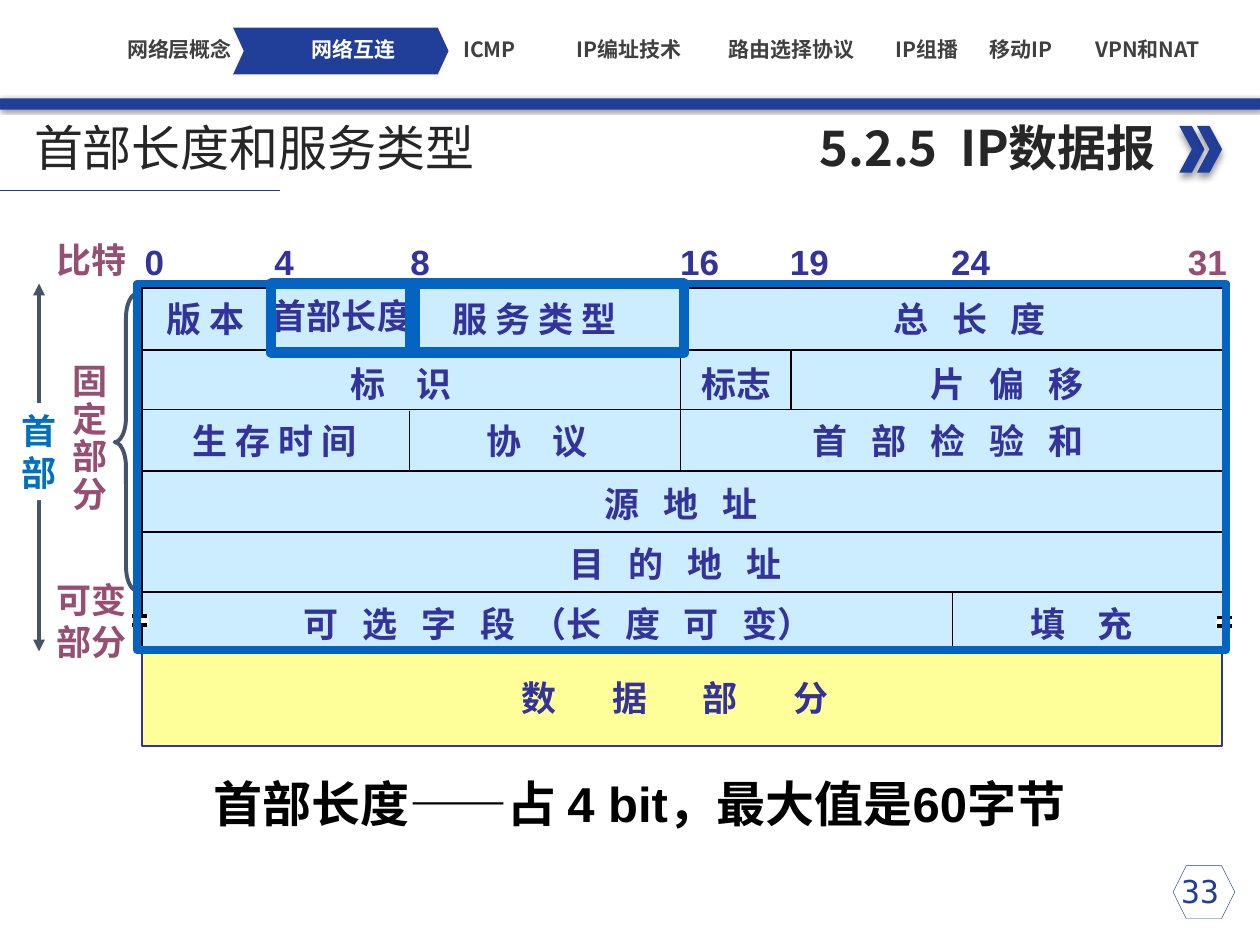
from lxml import etree
from pptx import Presentation
from pptx.dml.color import RGBColor
from pptx.enum.shapes import MSO_CONNECTOR, MSO_SHAPE
from pptx.enum.text import MSO_ANCHOR, PP_ALIGN
from pptx.oxml import parse_xml
from pptx.oxml.ns import nsdecls, qn
from pptx.util import Inches, Pt

COLORS = {
    "navy": "213F99", "ink": "262626", "grey": "404040", "white": "FFFFFF",
    "black": "000000", "sky": "CCECFF", "yellow": "FFFF99", "indigo": "333399",
    "plum": "954F72", "slate": "44546A", "blue": "0070C0", "frame": "0563C1",
}
CJK_FONT = "Noto Sans CJK SC"

presentation = Presentation()
presentation.slide_width = Inches(10)
presentation.slide_height = Inches(7.5)
slide = presentation.slides.add_slide(presentation.slide_layouts[6])


def add_block(preset, left, top, width, height, fill=None, line=None, weight=1):
    """Preset shape, or a straight line from corner to corner when preset is None."""
    if preset is None:
        shape = slide.shapes.add_connector(
            MSO_CONNECTOR.STRAIGHT, Inches(left), Inches(top),
            Inches(left + width), Inches(top + height))
        etree.SubElement(shape._element.spPr, qn("a:effectLst"))
    else:
        shape = slide.shapes.add_shape(
            preset, Inches(left), Inches(top), Inches(width), Inches(height))
        shape.shadow.inherit = False
        if fill:
            shape.fill.solid()
            shape.fill.fore_color.rgb = RGBColor.from_string(COLORS[fill])
        else:
            shape.fill.background()
    if line:
        shape.line.color.rgb = RGBColor.from_string(COLORS[line])
        shape.line.width = Pt(weight)
    else:
        shape.line.fill.background()
    return shape


def add_label(text, left, top, width, height, color="indigo", size=20, font="Arial",
              bold=True, align=PP_ALIGN.LEFT, wrap=False, anchor=MSO_ANCHOR.TOP):
    shape = slide.shapes.add_textbox(
        Inches(left), Inches(top), Inches(width), Inches(height))
    text_frame = shape.text_frame
    text_frame.text = text
    text_frame.word_wrap = wrap
    text_frame.vertical_anchor = anchor
    for paragraph in text_frame.paragraphs:
        paragraph.alignment = align
        for run in paragraph.runs:
            run.font.name = font
            run.font.size = Pt(size)
            run.font.bold = bold
            run.font.color.rgb = RGBColor.from_string(COLORS[color])
            east_asian = etree.SubElement(run._r.rPr, qn("a:ea"))
            east_asian.set("typeface", CJK_FONT)
    return text_frame


# Header bar and section chevrons, with soft shadows
header_bar = add_block(MSO_SHAPE.RECTANGLE, 0, 0.78, 10, 0.09, "navy")
shadowed = [(header_bar, 2, 1, 45, 40)]
for left in (9.36, 9.5):
    chevron = add_block(MSO_SHAPE.CHEVRON, left, 1, 0.2, 0.37, "navy")
    shadowed.append((chevron, 4, 3, 90, 40))
for shape, blur, distance, angle, alpha in shadowed:
    shape._element.spPr.find(qn("a:effectLst")).append(parse_xml(
        f'<a:outerShdw {nsdecls("a")} blurRad="{Pt(blur)}" dist="{Pt(distance)}" '
        f'dir="{angle * 60000}" algn="tl" rotWithShape="0"><a:srgbClr val="000000">'
        f'<a:alpha val="{alpha * 1000}"/></a:srgbClr></a:outerShdw>'))

# Titles
add_label("5.2.5  IP数据报", 0.76, 0.88, 8.51, 0.57, "ink", 28, CJK_FONT,
          align=PP_ALIGN.RIGHT, wrap=True)
title_frame = add_label("首部长度和服务类型", 0, 0.92, 4.35, 0.49, "ink", 28, CJK_FONT,
                        bold=False, wrap=True, anchor=MSO_ANCHOR.MIDDLE)
title_frame.margin_left = Inches(0.27)
add_block(None, 0, 1.51, 2.22, 0, line="navy", weight=0.5)

# Header and data areas
add_block(MSO_SHAPE.RECTANGLE, 1.12, 2.28, 8.6, 2.89, "sky", "black", 2)
add_block(MSO_SHAPE.RECTANGLE, 1.13, 5.18, 8.57, 0.74, "yellow", "indigo")

# Row and field dividers
for top in (2.78, 3.25, 3.74, 4.22, 4.7):
    add_block(None, 1.11, top, 8.62, 0, line="black")
for left, top, bottom in (
        (2.17, 2.28, 2.77), (3.25, 2.28, 2.77), (3.25, 3.26, 3.74),
        (5.4, 2.28, 3.74), (6.28, 2.78, 3.25), (7.56, 4.7, 5.18)):
    add_block(None, left, top, 0, bottom - top, line="black")

# Bit numbers
for bit, left in ((0, 1.05), (4, 2.08), (8, 3.16), (16, 5.3), (19, 6.17), (24, 7.45), (31, 9.33)):
    add_label(str(bit), left, 1.86, 0.36 if bit < 10 else 0.51, 0.43,
              "plum" if bit == 31 else "indigo")

# Field names, row by row
field_rows = {
    2.31: [("版 本", 1.22, 0.84), ("服 务 类 型", 3.49, 1.56), ("总   长   度", 6.99, 1.51)],
    2.29: [("首部长度", 2.06, 1.33)],
    2.83: [("标    识", 2.68, 1.07), ("标志", 5.47, 0.76), ("片   偏   移", 7.29, 1.51)],
    3.28: [("生 存 时 间", 1.43, 1.56), ("协    议", 3.76, 1.07),
           ("首   部   检   验   和", 6.35, 2.54)],
    3.78: [("源   地   址", 4.7, 1.51)],
    4.26: [("目   的   地   址", 4.42, 2.02)],
    4.73: [("可   选   字   段  （长   度   可   变）", 2.31, 4.56), ("填    充", 8.08, 1.07)],
    5.32: [("数       据       部       分", 4.04, 3.18)],
}
for top, fields in field_rows.items():
    for name, left, width in fields:
        add_label(name, left, top, width, 0.43)

# Break marks on both sides of the variable row
for left, top in ((1.05, 4.89), (9.66, 4.9)):
    add_block(MSO_SHAPE.RECTANGLE, left - 0.01, top, 0.14, 0.07, "white")
    for offset in (0, 0.07):
        add_block(None, left, top + offset, 0.12, 0, line="black", weight=2)

# Side labels, brace and height arrow
brace = add_block(MSO_SHAPE.LEFT_BRACE, 0.91, 2.33, 0.18, 2.36, line="slate", weight=2.25)
brace.adjustments[0] = 1.08
fixed_frame = add_label("固\n定\n部\n分", 0.48, 2.84, 0.48, 1.31, "plum")
for paragraph in fixed_frame.paragraphs:
    paragraph.line_spacing = 0.9
add_label("可变\n部分", 0.35, 4.54, 0.76, 0.77, "plum")
add_label("比特", 0.35, 1.84, 0.76, 0.43, "plum")
height_arrow = add_block(None, 0.31, 2.25, 0, 2.92, line="slate", weight=2.25)
for end in ("a:headEnd", "a:tailEnd"):
    etree.SubElement(height_arrow.line._get_or_add_ln(), qn(end)).set("type", "triangle")
add_block(MSO_SHAPE.RECTANGLE, 0.07, 3.2, 0.48, 0.77, "white")
add_label("首\n部", 0.07, 3.2, 0.48, 0.77, "blue")

# Frames around the header and its two highlighted fields
for left, width, height, weight in ((1.09, 8.64, 2.91, 4.5), (2.15, 1.14, 0.55, 6),
                                    (3.26, 2.17, 0.55, 6)):
    add_block(MSO_SHAPE.RECTANGLE, left, 2.25, width, height, line="frame", weight=weight)

# Explanation
add_label("首部长度——占 4 bit，最大值是60字节", 1.44, 6.09, 7.27, 0.57, "black", 28,
          align=PP_ALIGN.CENTER, wrap=True)

# Page number
add_block(MSO_SHAPE.HEXAGON, 9.31, 6.87, 0.49, 0.42, line="navy", weight=0.25)
add_label("33", 9.09, 6.87, 0.87, 0.4, "navy", 18, "DejaVu Sans Mono", bold=False,
          align=PP_ALIGN.CENTER, wrap=True)

# Chapter navigation
current_marker = add_block(MSO_SHAPE.CHEVRON, 1.85, 0.22, 1.71, 0.37, "navy")
current_marker.adjustments[0] = 0.23
for name, left in (("网络层概念", 0.7), ("网络互连", 2.08), ("ICMP", 3.16),
                   ("IP编址技术", 4.27), ("路由选择协议", 5.56), ("IP组播", 6.63),
                   ("移动IP", 7.38), ("VPN和NAT", 8.38)):
    text_frame = add_label(name, left, 0.29, 1.45, 0.2, "white" if name == "网络互连" else "grey",
                           12, CJK_FONT, align=PP_ALIGN.CENTER, wrap=True,
                           anchor=MSO_ANCHOR.MIDDLE)
    text_frame.margin_left = text_frame.margin_right = 0
    text_frame.margin_top = text_frame.margin_bottom = 0

presentation.save("out.pptx")
